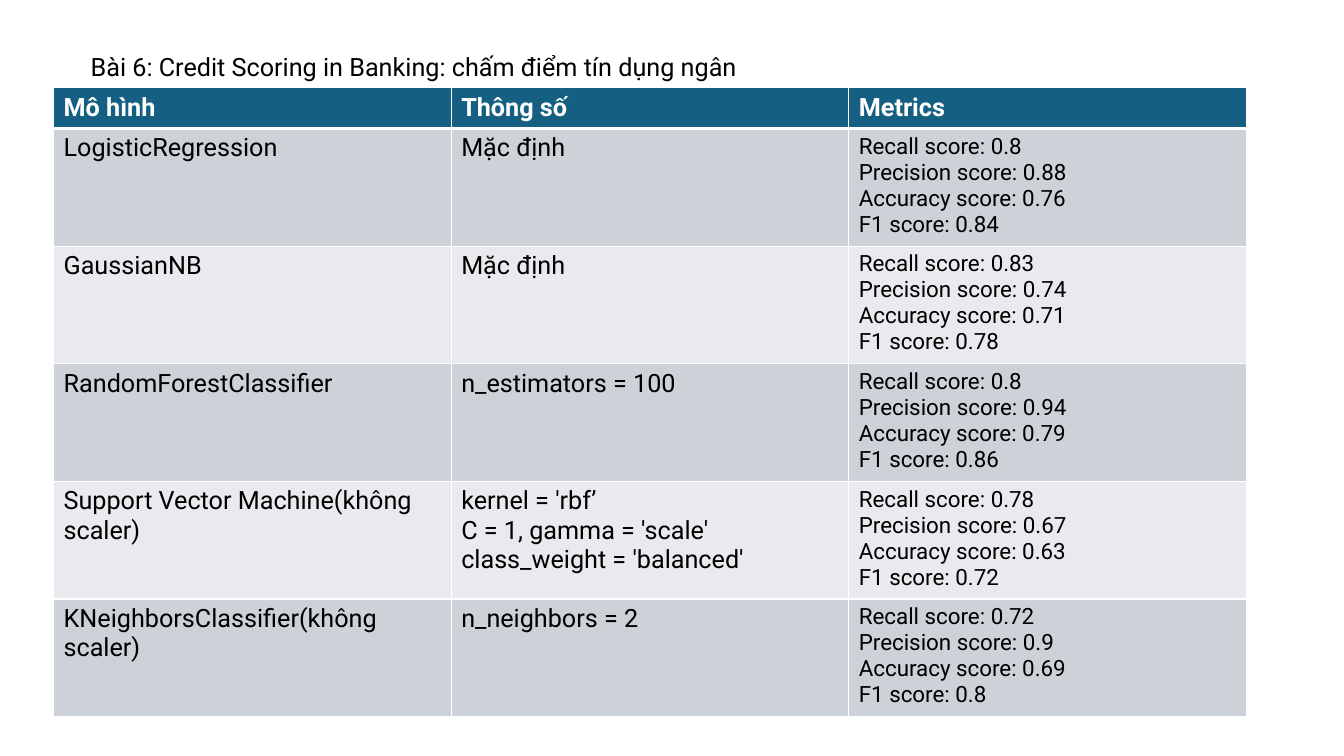
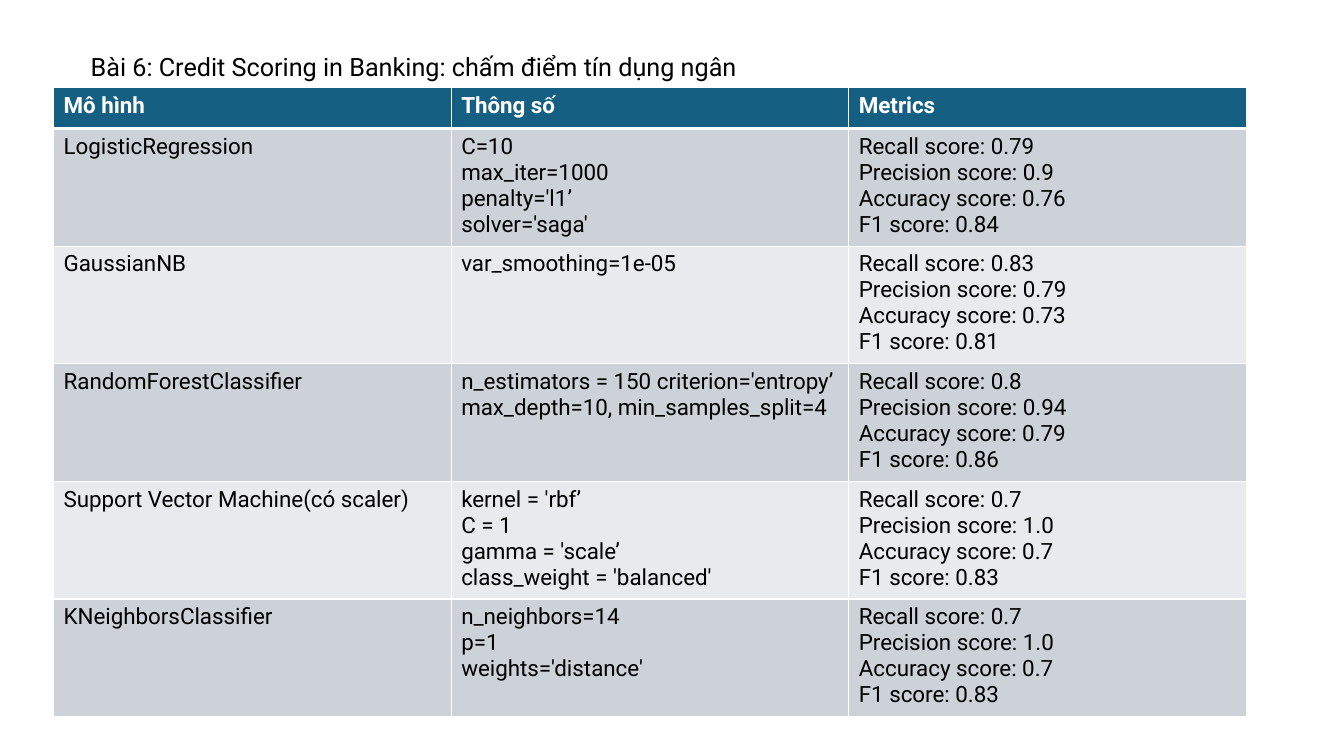
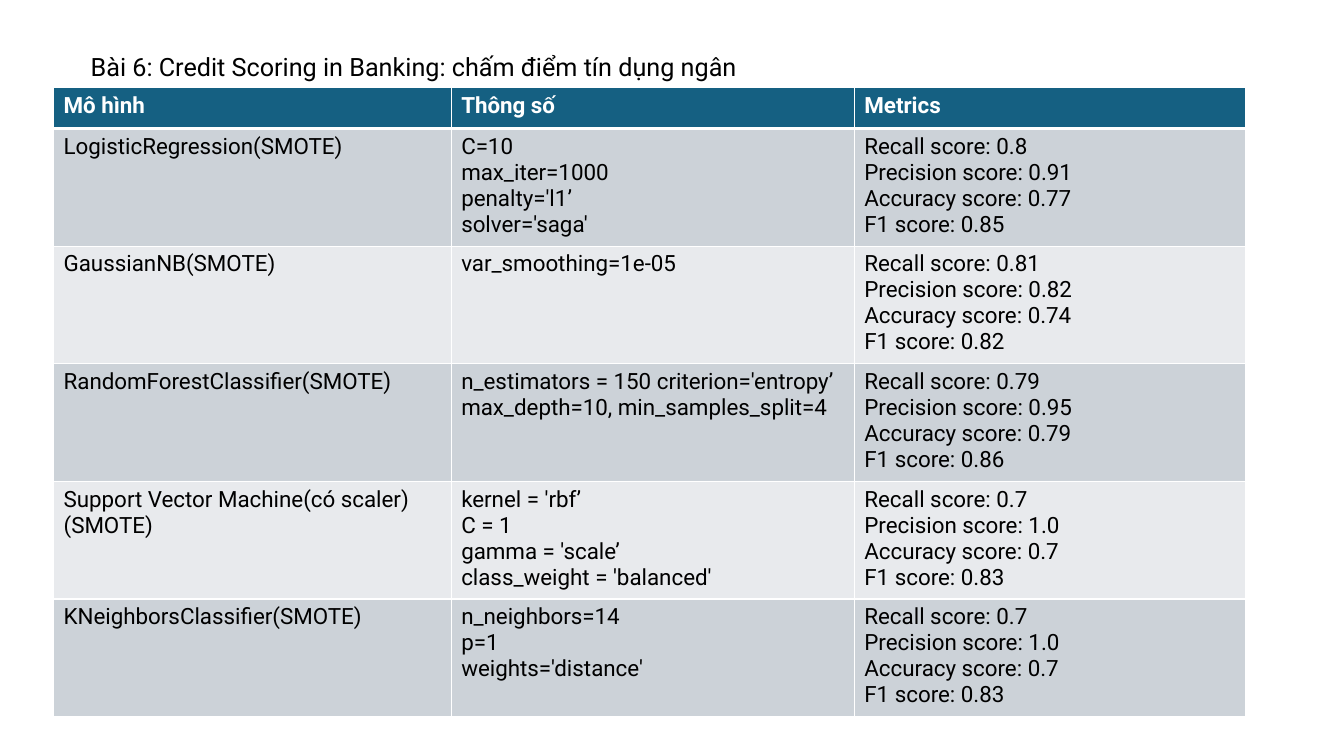
from dataclasses import dataclass

from lxml.etree import SubElement as Sub
from pptx import Presentation
from pptx.dml.color import RGBColor
from pptx.enum.text import MSO_ANCHOR as Anchor, MSO_AUTO_SIZE as Fit, PP_ALIGN as Align
from pptx.oxml.ns import qn
from pptx.slide import Slide
from pptx.table import Table, _Cell as Cell
from pptx.text.text import TextFrame as Frame
from pptx.util import Cm, Pt

FONT = "Roboto"
BLACK, WHITE, TEAL = "000000", "FFFFFF", "156082"
BANDS = ("CCD2D8", "E8EAED")
TITLE = "Bài 6: Credit Scoring in Banking: chấm điểm tín dụng ngân hàng"
HEADS = ("Mô hình", "Thông số", "Metrics")
LABELS = ("Recall", "Precision", "Accuracy", "F1")
LEFT, TOP, HEAD_H, ROW_H = 1.35, 2.21, 1.03, 2.96
EVEN = (10.02, 10.02, 10.02)
WIDE = (10.02, 10.16, 9.86)


@dataclass(frozen=True)
class Model:
    name: str
    args: str
    scores: tuple[float, float, float, float]

    def texts(self) -> tuple[str, str, str]:
        lines = (f"{label} score: {score}" for label, score in zip(LABELS, self.scores))
        return self.name, self.args, "\n".join(lines)


@dataclass(frozen=True)
class Page:
    size: int
    widths: tuple[float, float, float]
    models: tuple[Model, ...]


LOGIT = "C=10\nmax_iter=1000\npenalty='l1’\nsolver='saga'"
BAYES = "var_smoothing=1e-05"
FOREST = "n_estimators = 150 criterion='entropy’\nmax_depth=10, min_samples_split=4"
VECTOR = "kernel = 'rbf’\nC = 1\ngamma = 'scale’\nclass_weight = 'balanced'"
NEAR = "n_neighbors=14\np=1\nweights='distance'"

PAGES = (
    Page(18, EVEN, (
        Model("LogisticRegression", "Mặc định", (0.8, 0.88, 0.76, 0.84)),
        Model("GaussianNB", "Mặc định", (0.83, 0.74, 0.71, 0.78)),
        Model("RandomForestClassifier", "n_estimators = 100", (0.8, 0.94, 0.79, 0.86)),
        Model("Support Vector Machine(không scaler)",
              "kernel = 'rbf’\nC = 1, gamma = 'scale' class_weight = 'balanced'",
              (0.78, 0.67, 0.63, 0.72)),
        Model("KNeighborsClassifier(không scaler)", "n_neighbors = 2",
              (0.72, 0.9, 0.69, 0.8)),
    )),
    Page(16, EVEN, (
        Model("LogisticRegression", LOGIT, (0.79, 0.9, 0.76, 0.84)),
        Model("GaussianNB", BAYES, (0.83, 0.79, 0.73, 0.81)),
        Model("RandomForestClassifier", FOREST, (0.8, 0.94, 0.79, 0.86)),
        Model("Support Vector Machine(có scaler)", VECTOR, (0.7, 1.0, 0.7, 0.83)),
        Model("KNeighborsClassifier", NEAR, (0.7, 1.0, 0.7, 0.83)),
    )),
    Page(16, WIDE, (
        Model("LogisticRegression(SMOTE)", LOGIT, (0.8, 0.91, 0.77, 0.85)),
        Model("GaussianNB(SMOTE)", BAYES, (0.81, 0.82, 0.74, 0.82)),
        Model("RandomForestClassifier(SMOTE)", FOREST, (0.79, 0.95, 0.79, 0.86)),
        Model("Support Vector Machine(có scaler) (SMOTE)", VECTOR, (0.7, 1.0, 0.7, 0.83)),
        Model("KNeighborsClassifier(SMOTE)", NEAR, (0.7, 1.0, 0.7, 0.83)),
    )),
)


def tint(code: str) -> RGBColor:
    return RGBColor.from_string(code)


def put(frame: Frame, text: str, *, size: int, color: str = BLACK, bold: bool = False) -> None:
    frame.text = text
    for para in frame.paragraphs:
        para.alignment = Align.LEFT
        for run in para.runs:
            font = run.font
            font.name, font.size, font.bold = FONT, Pt(size), bold
            font.color.rgb = tint(color)


def edge(cell: Cell, top: int = 1, bottom: int = 1) -> None:
    props = cell._tc.get_or_add_tcPr()
    for side, width in (("L", 1), ("R", 1), ("T", top), ("B", bottom)):
        line = Sub(props, qn(f"a:ln{side}"), w=str(Pt(width)))
        Sub(Sub(line, qn("a:solidFill")), qn("a:srgbClr"), val=WHITE)


def paint(cell: Cell, code: str) -> None:
    cell.fill.solid()
    cell.fill.fore_color.rgb = tint(code)


def add_title(slide: Slide) -> None:
    title = slide.shapes.title
    title.left, title.top, title.width, title.height = Cm(2.03), Cm(1.17), Cm(17.81), Cm(1.03)
    frame = title.text_frame
    put(frame, TITLE, size=18)
    frame.vertical_anchor = Anchor.TOP
    frame.word_wrap = False
    frame.auto_size = Fit.SHAPE_TO_FIT_TEXT


def fill_head(table: Table, size: int) -> None:
    table.rows[0].height = Cm(HEAD_H)
    for cell, text in zip(table.rows[0].cells, HEADS):
        put(cell.text_frame, text, size=size, color=WHITE, bold=True)
        edge(cell, bottom=3)
        paint(cell, TEAL)


def fill_row(table: Table, index: int, model: Model, size: int) -> None:
    row = table.rows[index]
    row.height = Cm(ROW_H)
    for cell, text, points in zip(row.cells, model.texts(), (size, size, 16)):
        put(cell.text_frame, text, size=points)
        edge(cell, top=3 if index == 1 else 1)
        paint(cell, BANDS[(index - 1) % 2])


def add_grid(slide: Slide, page: Page) -> None:
    count = len(page.models)
    table = slide.shapes.add_table(
        count + 1, len(HEADS), Cm(LEFT), Cm(TOP),
        Cm(sum(page.widths)), Cm(HEAD_H + count * ROW_H)).table
    for column, width in zip(table.columns, page.widths):
        column.width = Cm(width)
    fill_head(table, page.size)
    for index, model in enumerate(page.models, 1):
        fill_row(table, index, model, page.size)


def main() -> None:
    deck = Presentation()
    deck.slide_width, deck.slide_height = Cm(33.87), Cm(19.05)
    for page in PAGES:
        slide = deck.slides.add_slide(deck.slide_layouts[5])
        add_title(slide)
        add_grid(slide, page)
    deck.save("out.pptx")


if __name__ == "__main__":
    main()
